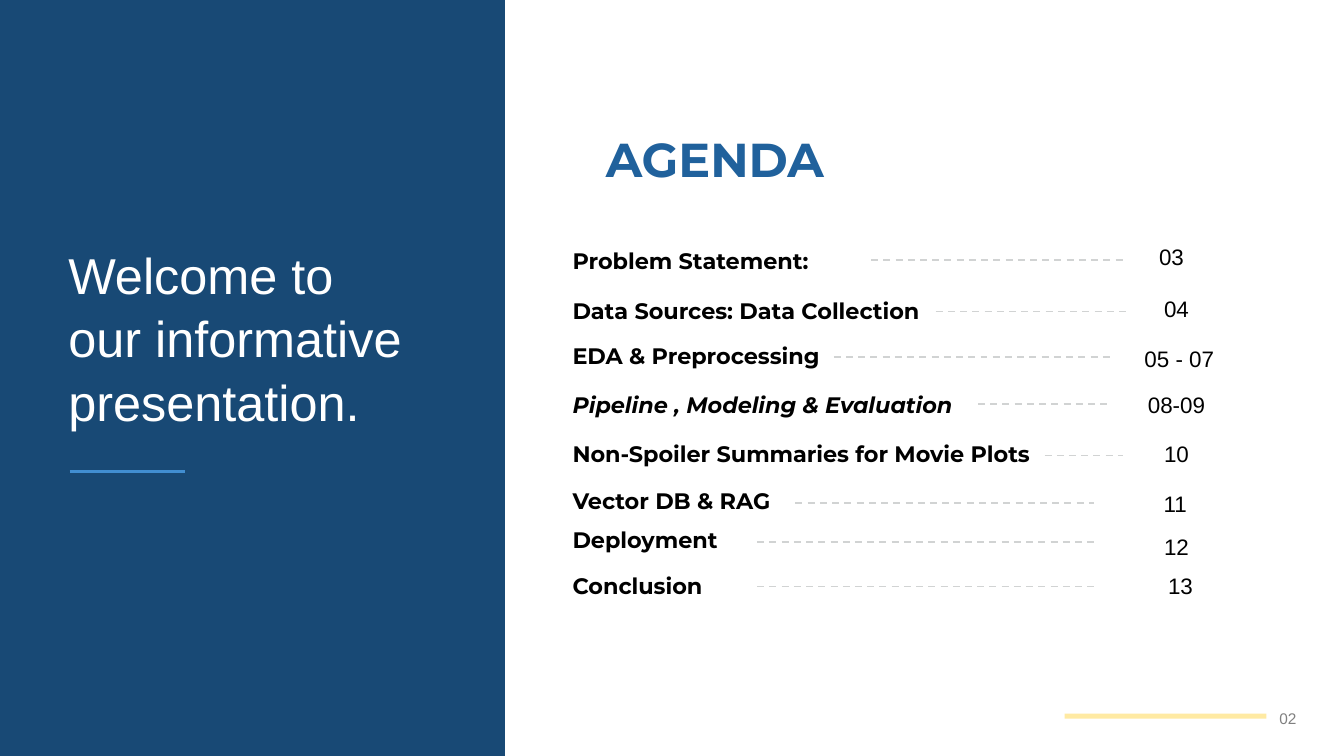
from lxml.etree import SubElement
from pptx import Presentation
from pptx.dml.color import RGBColor
from pptx.enum.dml import MSO_LINE
from pptx.enum.shapes import MSO_CONNECTOR, MSO_SHAPE
from pptx.enum.text import MSO_ANCHOR, MSO_AUTO_SIZE, PP_ALIGN
from pptx.oxml.ns import qn
from pptx.util import Emu, Pt

PX = 9144  # 100 px to the inch
WIDTH, HEIGHT = 1333, 750
COLORS = {
    "panel": "184975",
    "accent": "418ED1",
    "title": "20619C",
    "leader": "D1D3D3",
    "footer": "FFEAA3",
    "number": "808080",
    "black": "000000",
    "white": "FFFFFF",
}
HEADING, BODY = "Montserrat", "Arial"
ROW_H = 37

# topic, topic top, leader (left, right, y), pages, pages (left, top, width)
AGENDA = [
    ("Problem Statement:", 240, (864, 1114, 258), "03", (1139, 236, 45)),
    ("Data Sources: Data Collection", 290, (928, 1118, 309), "04", (1144, 288, 45)),
    ("EDA & Preprocessing", 335, (827, 1103, 354), "05 - 07", (1124, 338, 90)),
    ("Pipeline , Modeling & Evaluation", 383, (970, 1103, 401), "08-09", (1127, 383, 78)),
    ("Non-Spoiler Summaries for Movie Plots", 432, (1036, 1114, 452), "10", (1144, 432, 45)),
    ("Vector DB & RAG", 478, (789, 1085, 499), "11", (1144, 481, 43)),
    ("Deployment", 517, (751, 1085, 538), "12", (1144, 524, 45)),
    ("Conclusion", 563, (751, 1085, 582), "13", (1148, 563, 45)),
]
ITALIC_TOPIC = "Pipeline , Modeling & Evaluation"


def px(*lengths):
    return [Emu(n * PX) for n in lengths]


def rgb(name):
    return RGBColor.from_string(COLORS[name])


def add_text(s, box, text, size, font, color, bold=None, italic=None,
             align=PP_ALIGN.LEFT, spacing=1.0, wrap=True):
    tf = s.shapes.add_textbox(*px(*box)).text_frame
    tf.word_wrap = wrap
    tf.auto_size = MSO_AUTO_SIZE.NONE
    tf.vertical_anchor = MSO_ANCHOR.TOP
    p = tf.paragraphs[0]
    p.text = text
    p.alignment = align
    p.line_spacing = spacing
    f = p.runs[0].font
    f.name, f.size, f.bold, f.italic = font, Pt(size), bold, italic
    f.color.rgb = rgb(color)


def add_rect(s, box, color):
    sp = s.shapes.add_shape(MSO_SHAPE.RECTANGLE, *px(*box))
    sp.shadow.inherit = False
    sp.fill.solid()
    sp.fill.fore_color.rgb = rgb(color)
    sp.line.fill.background()
    return sp


def add_rule(s, left, right, y, color, width, dash=None):
    """Draw a horizontal line without a shadow."""
    line = s.shapes.add_connector(MSO_CONNECTOR.STRAIGHT, *px(left, y, right, y))
    line.line.color.rgb = rgb(color)
    line.line.width = Pt(width)
    line.line.dash_style = dash
    SubElement(line._element.spPr, qn("a:effectLst"))


def add_footer(s, x, y):
    add_rect(s, (x, y + 19, 200, 5), "footer")
    add_text(s, (x + 203, y, 51, 35), "02", 11, BODY, "number", spacing=1.5)


def add_welcome(s, x, y, w, h):
    panel = add_rect(s, (x, y, w, h), "panel")
    panel.line.color.rgb = rgb("panel")
    panel.line.width = Pt(1)
    add_text(s, (x + 58, y + 234, 356, 192),
             "Welcome to our informative presentation.",
             36, BODY, "white", spacing=1.05)
    add_rule(s, x + 69, x + 183, y + 468, "accent", 2.5)


def add_agenda(s, x, y, w):
    add_text(s, (x + 91, y + 130, w - 91, 80), "AGENDA", 34, HEADING, "title",
             bold=True, spacing=0.9)
    for topic, top, (start, end, mid), pages, (left, page_top, page_w) in AGENDA:
        add_text(s, (x + 58, y + top, 518, ROW_H), topic, 16, HEADING, "black",
                 bold=True, italic=topic == ITALIC_TOPIC)
        add_rule(s, start, end, y + mid, "leader", 1.25, MSO_LINE.DASH)
        add_text(s, (left, y + page_top, page_w, ROW_H), pages, 16, BODY, "black",
                 align=PP_ALIGN.RIGHT, wrap=False)


def main():
    prs = Presentation()
    prs.slide_width, prs.slide_height = px(WIDTH, HEIGHT)
    s = prs.slides.add_slide(prs.slide_layouts[6])
    add_footer(s, 1056, 689)
    add_welcome(s, 0, 0, 500, HEIGHT)
    add_agenda(s, 500, 0, WIDTH - 500)
    prs.save("out.pptx")


if __name__ == "__main__":
    main()
